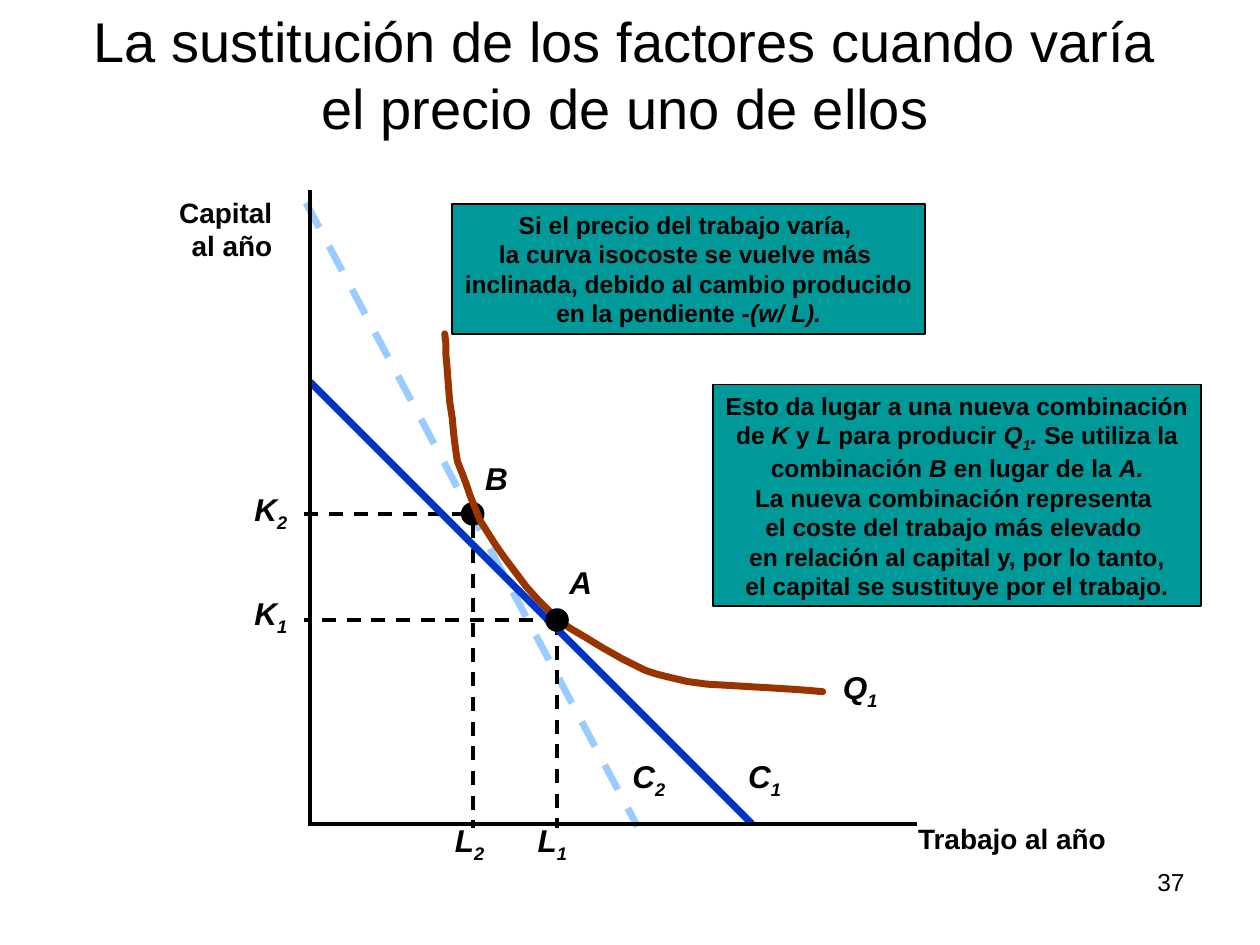
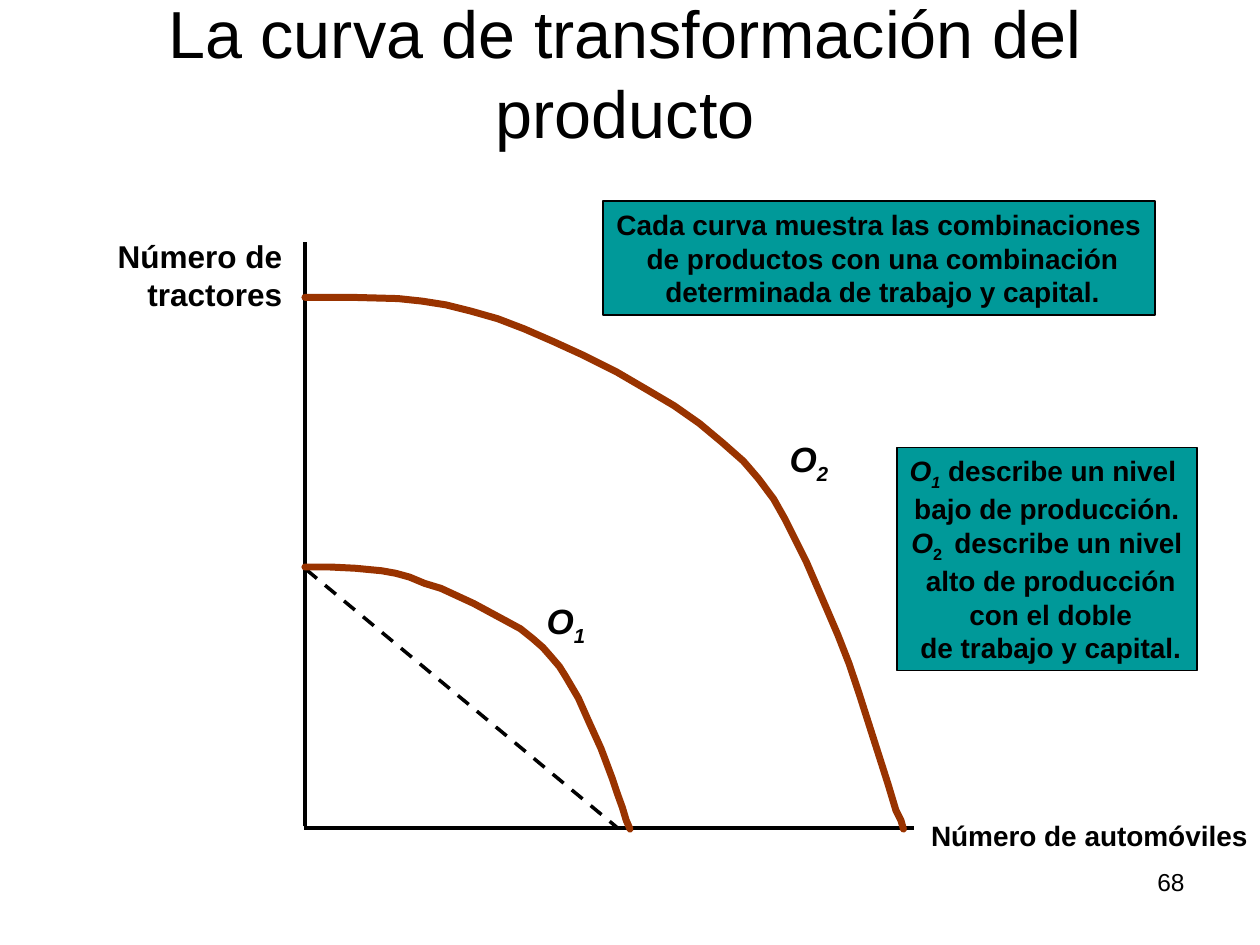
from pptx import Presentation, util as u
from pptx.dml.color import RGBColor
from pptx.enum import dml, shapes, text
from pptx.oxml import parse_xml
from pptx.oxml.ns import nsdecls

BLACK = RGBColor(0, 0, 0)
TEAL = RGBColor(0x00, 0x99, 0x99)
BROWN = RGBColor(0x99, 0x33, 0x00)
BLUE = RGBColor(0x00, 0x33, 0xCC)
LIGHT_BLUE = RGBColor(0x99, 0xCC, 0xFF)
LEFT, CENTER, RIGHT = text.PP_ALIGN.LEFT, text.PP_ALIGN.CENTER, text.PP_ALIGN.RIGHT


def write(frame, lines, size, align, bold=True):
    for number, line in enumerate(lines):
        paragraph = frame.add_paragraph() if number else frame.paragraphs[0]
        paragraph.alignment = align
        paragraph.font.name = "Arial"
        paragraph.font.size = u.Pt(size)
        paragraph.font.bold = bold
        paragraph.font.color.rgb = BLACK
        for i, part in enumerate(line.split("*")):
            for j, piece in enumerate(part.split("_")):
                if piece:
                    run = paragraph.add_run()
                    run.text = piece
                    if i % 2:
                        run.font.italic = True
                    if j % 2:
                        run._r.get_or_add_rPr().set("baseline", "-25000")


def connect(slide, x1, y1, x2, y2, color=BLACK, width=2, dashed=False):
    line = slide.shapes.add_connector(
        shapes.MSO_CONNECTOR.STRAIGHT, u.Cm(x1), u.Cm(y1), u.Cm(x2), u.Cm(y2))
    line.line.color.rgb = color
    line.line.width = u.Pt(width)
    if dashed:
        line.line.dash_style = dml.MSO_LINE.DASH
    line._element.spPr.append(parse_xml(f"<a:effectLst {nsdecls('a')}/>"))


prs = Presentation()
prs.slide_width, prs.slide_height = u.Cm(25.4), u.Cm(19.05)
substitution = prs.slides.add_slide(prs.slide_layouts[6])
transformation = prs.slides.add_slide(prs.slide_layouts[6])

for slide, heading, size, top, page in [
    (substitution, "La sustitución de los factores cuando varía el precio de uno de ellos",
     32, 0.81, "37"),
    (transformation, "La curva de transformación del producto", 38, 1.02, "68"),
]:
    title = slide.shapes.add_textbox(u.Cm(1.52), u.Cm(top), u.Cm(22.17), u.Cm(2.16)).text_frame
    title.word_wrap = True
    title.vertical_anchor = text.MSO_ANCHOR.BOTTOM
    write(title, [heading], size, CENTER, bold=False)
    footer = slide.shapes.add_textbox(u.Cm(18.21), u.Cm(17.35), u.Cm(5.92), u.Cm(1.32)).text_frame
    footer.word_wrap = True
    write(footer, [page], 14, RIGHT, bold=False)

connect(substitution, 6.17, 4.09, 12.85, 16.66, LIGHT_BLUE, 4, dashed=True)
for labour, capital, guide_x, guide_y in [(9.53, 10.36, 9.4, 10.57), (11.23, 12.5, 11.25, 12.52)]:
    connect(substitution, guide_x, capital, 6.12, capital, dashed=True)
    connect(substitution, labour, guide_y, labour, 16.69, dashed=True)
    optimum = substitution.shapes.add_shape(
        shapes.MSO_SHAPE.OVAL, u.Cm(labour - 0.22), u.Cm(capital - 0.22), u.Cm(0.44), u.Cm(0.44))
    optimum.shadow.inherit = False
    optimum.fill.solid()
    optimum.fill.fore_color.rgb = BLACK
    optimum.line.color.rgb = BLACK
    optimum.line.width = u.Pt(1)

connect(transformation, 6.15, 4.88, 6.15, 16.66)
connect(transformation, 6.12, 16.69, 18.42, 16.69)
connect(transformation, 6.17, 11.48, 12.45, 16.69, dashed=True)

isoquant = [
    (353, 265), (354, 273), (354, 282), (355, 293), (356, 307), (357, 319), (359, 332),
    (360, 343), (361, 352), (362, 359), (363, 366), (367, 376), (370, 384), (373, 393),
    (381, 413), (393, 432), (400, 442), (409, 454), (418, 466), (427, 476), (435, 484),
    (443, 492), (453, 499), (465, 506), (478, 514), (494, 523), (512, 532), (521, 535),
    (533, 538), (546, 541), (561, 543), (578, 544), (595, 545), (612, 546), (628, 547),
    (642, 548), (653, 549)]
high_output = [
    (242, 236), (279, 236), (316, 237), (335, 239), (354, 242), (374, 247), (395, 253),
    (416, 261), (439, 271), (463, 282), (489, 295), (513, 309), (535, 322), (555, 336),
    (573, 351), (590, 366), (602, 380), (614, 396), (623, 412), (640, 446), (656, 483),
    (665, 504), (674, 527), (682, 551), (690, 576), (698, 601), (705, 623), (711, 643),
    (715, 651), (717, 658)]
low_output = [
    (242, 450), (262, 450), (282, 451), (303, 453), (314, 455), (325, 458), (337, 463),
    (350, 467), (376, 479), (389, 486), (402, 493), (413, 499), (423, 507), (431, 514),
    (438, 522), (444, 529), (449, 537), (459, 554), (467, 572), (472, 583), (477, 594),
    (486, 618), (490, 630), (494, 641), (497, 651), (500, 658)]

for slide, points in [
    (substitution, isoquant), (transformation, high_output), (transformation, low_output),
]:
    outline = slide.shapes.build_freeform(*points[0], scale=u.Cm(0.0254))
    outline.add_line_segments(points[1:], close=False)
    curve = outline.convert_to_shape()
    curve.shadow.inherit = False
    curve.fill.background()
    curve.line.color.rgb = BROWN
    curve.line.width = u.Pt(4)
    curve._element.spPr.get_or_add_ln().set("cap", "rnd")

connect(substitution, 6.25, 7.7, 15.16, 16.61, BLUE, 4)
substitution.shapes._spTree.append(optimum._element)
connect(substitution, 6.25, 3.84, 6.25, 16.59)
connect(substitution, 6.2, 16.61, 18.49, 16.61)

for slide, left, top, width, height, size, lines in [
    (substitution, 14.38, 7.75, 9.83, 4.47, 14, [
        "Esto da lugar a una nueva combinación",
        "de *K *y *L* para producir *Q_1_.* Se utiliza la",
        "combinación *B *en lugar de la *A.*",
        "La nueva combinación representa ",
        "el coste del trabajo más elevado ",
        "en relación al capital y, por lo tanto,",
        "el capital se sustituye por el trabajo."]),
    (substitution, 9.12, 4.11, 9.53, 2.62, 14, [
        "Si el precio del trabajo varía, ",
        "la curva isocoste se vuelve más ",
        "inclinada, debido al cambio producido",
        "en la pendiente -*(w/ L).*"]),
    (transformation, 18.08, 9.02, 6.05, 4.5, 16, [
        "*O_1_* describe un nivel ",
        "bajo de producción.",
        "*O*_2 _ describe un nivel",
        " alto de producción",
        " con el doble",
        " de trabajo y capital."]),
    (transformation, 12.15, 4.06, 11.13, 2.29, 16, [
        "Cada curva muestra las combinaciones",
        " de productos con una combinación",
        " determinada de trabajo y capital."]),
]:
    callout = slide.shapes.add_shape(
        shapes.MSO_SHAPE.RECTANGLE, u.Cm(left), u.Cm(top), u.Cm(width), u.Cm(height))
    callout.shadow.inherit = False
    callout.fill.solid()
    callout.fill.fore_color.rgb = TEAL
    callout.line.color.rgb = BLACK
    callout.line.width = u.Pt(1)
    callout.text_frame.word_wrap = False
    callout.text_frame.auto_size = text.MSO_AUTO_SIZE.SHAPE_TO_FIT_TEXT
    callout.text_frame.vertical_anchor = text.MSO_ANCHOR.TOP
    callout.text_frame.margin_left = callout.text_frame.margin_right = u.Cm(0.2)
    write(callout.text_frame, lines, size, CENTER)

for slide, left, top, width, height, size, align, lines in [
    (substitution, 12.5, 15.14, 1.17, 1.12, 18, LEFT, ["*C_2_*"]),
    (substitution, 14.83, 15.14, 1.17, 1.12, 18, LEFT, ["*C_1_*"]),
    (substitution, 4.88, 9.75, 1.17, 1.12, 18, LEFT, ["*K_2_*"]),
    (substitution, 4.88, 11.86, 1.17, 1.12, 18, LEFT, ["*K_1_*"]),
    (substitution, 8.92, 16.43, 1.09, 1.12, 18, LEFT, ["*L_2_*"]),
    (substitution, 10.59, 16.43, 1.09, 1.12, 18, LEFT, ["*L_1_*"]),
    (substitution, 16.74, 13.34, 1.19, 1.12, 18, LEFT, ["*Q_1_*"]),
    (substitution, 9.53, 9.12, 0.97, 1.02, 18, LEFT, ["*B*"]),
    (substitution, 11.23, 11.23, 0.97, 1.02, 18, LEFT, ["*A*"]),
    (substitution, 18.26, 16.43, 4.32, 0.91, 16, LEFT, ["Trabajo al año"]),
    (substitution, 3.35, 3.81, 2.39, 1.6, 16, RIGHT, ["Capital", "al año"]),
    (transformation, 15.67, 8.69, 1.27, 1.22, 20, LEFT, ["*O_2_*"]),
    (transformation, 10.77, 11.96, 1.27, 1.22, 20, LEFT, ["*O_1_*"]),
    (transformation, 18.52, 16.38, 6.88, 0.91, 16, LEFT, ["Número de automóviles"]),
    (transformation, 2.03, 4.65, 3.91, 1.78, 18, RIGHT, ["Número de", "tractores"]),
]:
    label = slide.shapes.add_textbox(u.Cm(left), u.Cm(top), u.Cm(width), u.Cm(height)).text_frame
    label.word_wrap = False
    label.auto_size = text.MSO_AUTO_SIZE.SHAPE_TO_FIT_TEXT
    if align == LEFT:
        label.margin_right = u.Cm(0.1)
    write(label, lines, size, align)

prs.save("out.pptx")
